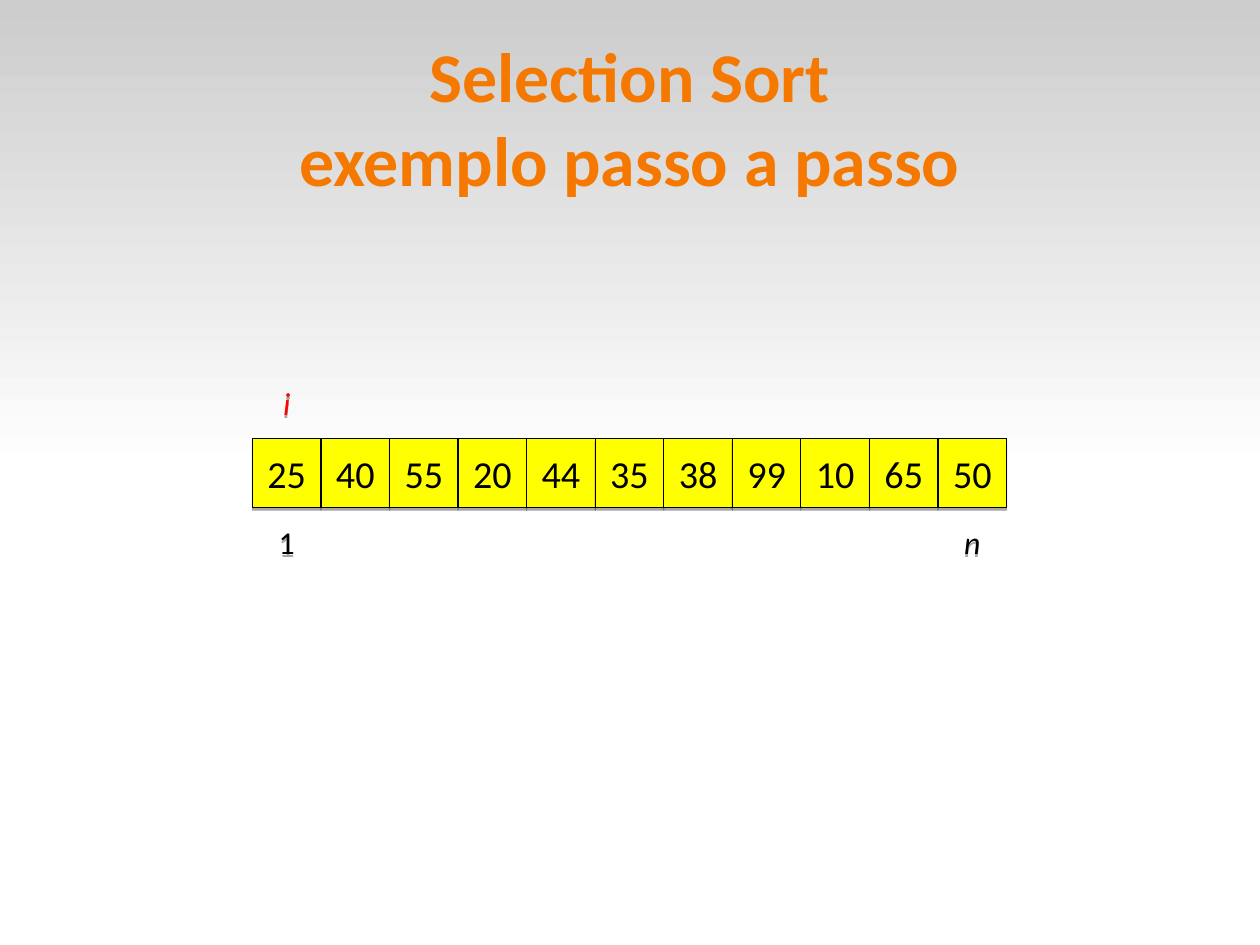
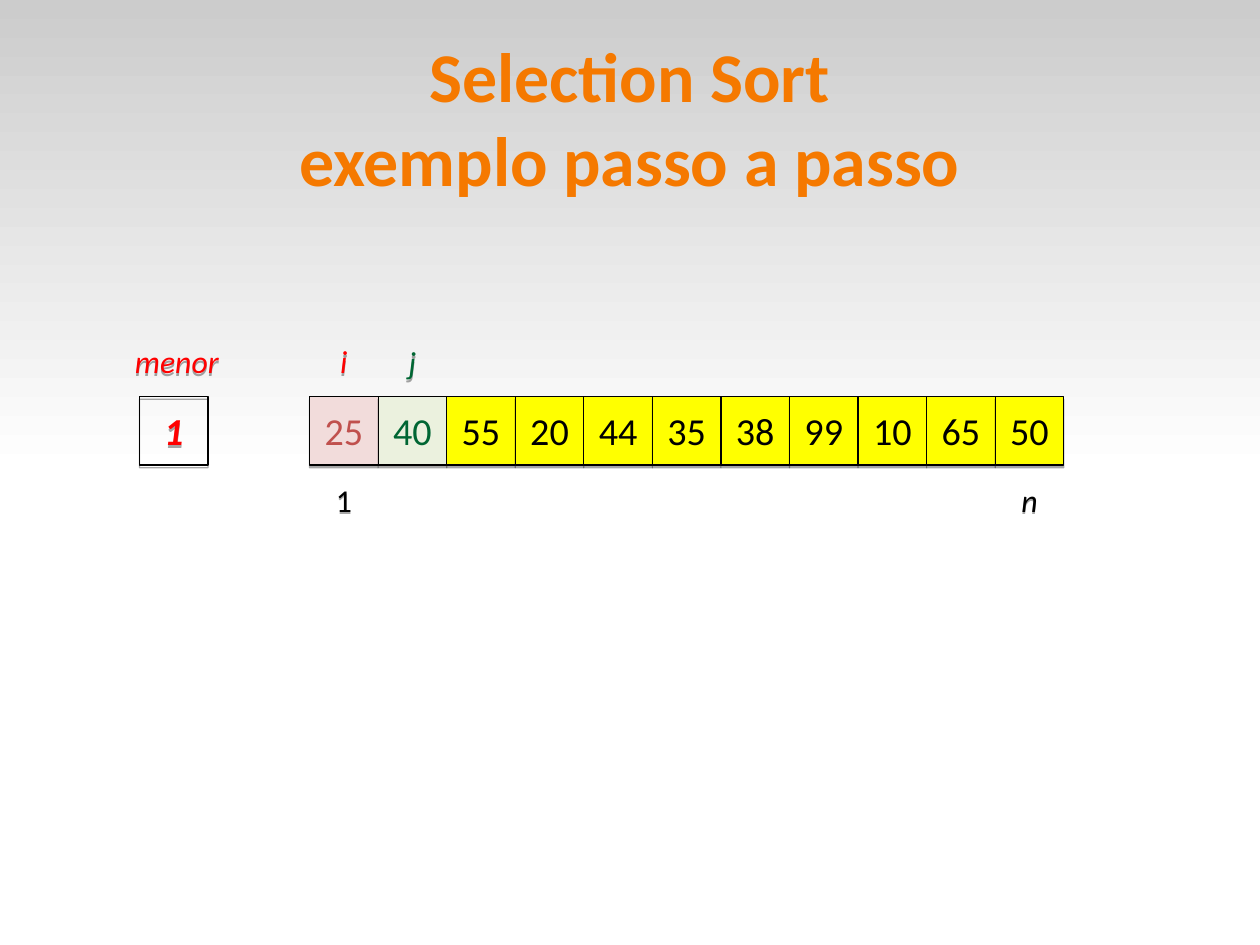
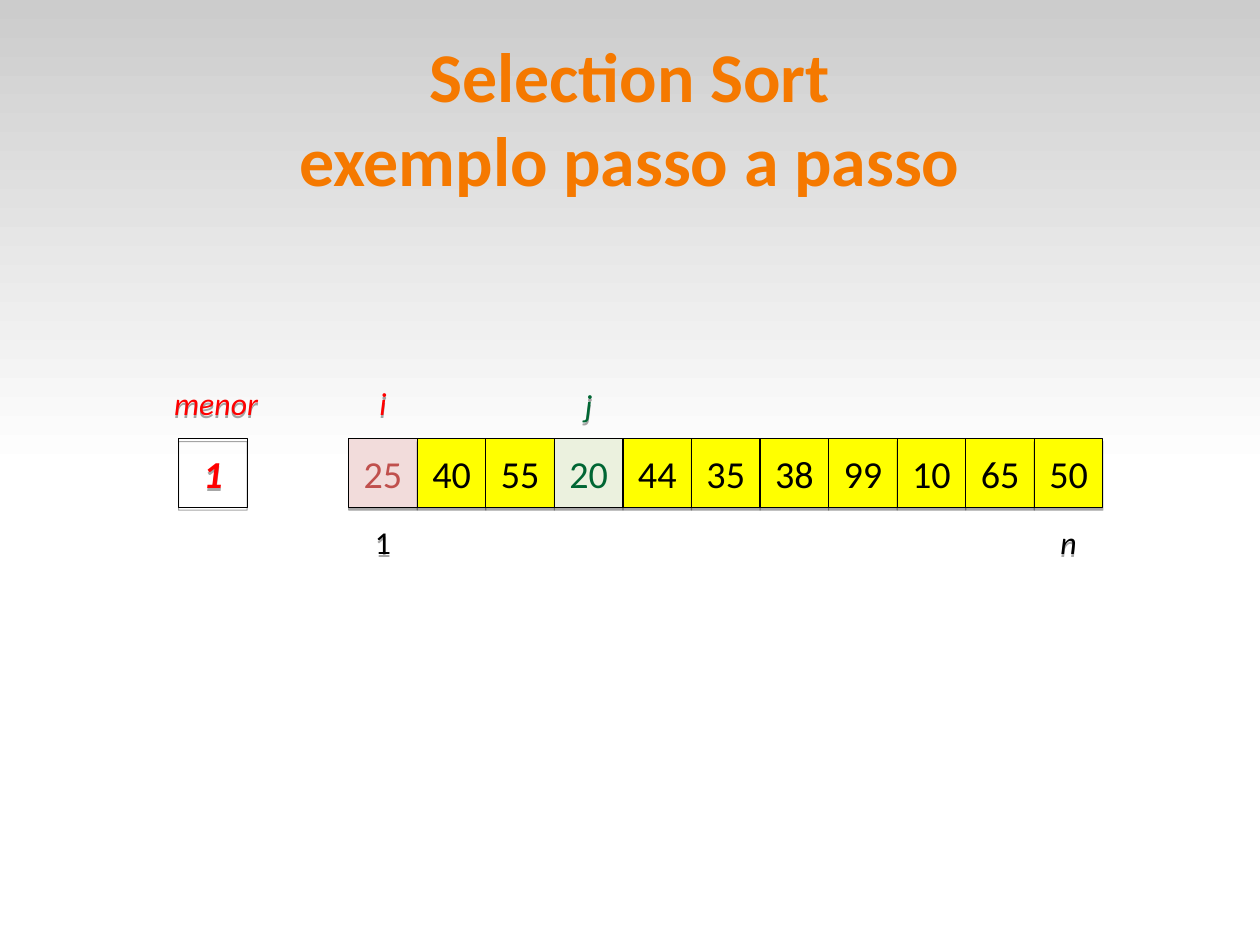
from dataclasses import dataclass

from lxml import etree
from pptx import Presentation
from pptx.dml.color import RGBColor
from pptx.enum.shapes import MSO_SHAPE
from pptx.enum.text import MSO_ANCHOR, PP_ALIGN
from pptx.oxml.ns import qn
from pptx.util import Cm, Pt

RECTANGLE = MSO_SHAPE.RECTANGLE
MIDDLE = MSO_ANCHOR.MIDDLE
CENTER = PP_ALIGN.CENTER


@dataclass(frozen=True)
class Theme:
    font: str = "Calibri"
    title_size: int = 44
    value_size: int = 24
    label_size: int = 20
    title: str = "F57900"
    ink: str = "000000"
    red: str = "FF0000"
    green: str = "006633"
    band_top: str = "CCCCCC"
    band_bottom: str = "FFFFFF"
    cell_fill: str = "FFFF00"
    current_fill: str = "F2DCDB"
    current_ink: str = "C0504D"
    scanned_fill: str = "EBF1DE"


THEME = Theme()
SLIDE_WIDTH, SLIDE_HEIGHT = 28, 21
TITLE = "Selection Sort\vexemplo passo a passo"
VALUES = [25, 40, 55, 20, 44, 35, 38, 99, 10, 65, 50]
ROW_WIDTH = 16.76
CELL = ROW_WIDTH / len(VALUES)
LABEL_RISE = 1.55
MINIMUM_OFFSET = 3.78
MINIMUM_LABEL_WIDTH = 2.59

# Left and top of the row, index of j, and the value of "menor"
STEPS = [
    (5.61, 9.75, None, None),
    (6.88, 8.81, 1, 1),
    (7.75, 9.75, 3, 1),
]


def rgb(color):
    return RGBColor.from_string(color)


def write(shape, text, *, size, color, bold=False, italic=False, margins=(0.25, 0.13)):
    """Fill the shape with centred text; margins are horizontal and vertical."""
    frame = shape.text_frame
    frame.word_wrap = True
    frame.vertical_anchor = MIDDLE
    frame.margin_left = frame.margin_right = Cm(margins[0])
    frame.margin_top = frame.margin_bottom = Cm(margins[1])
    paragraph = frame.paragraphs[0]
    paragraph.text = text
    paragraph.alignment = CENTER
    for run in paragraph.runs:
        run.font.name = THEME.font
        run.font.size = Pt(size)
        run.font.color.rgb = rgb(color)
        run.font.bold = bold
        run.font.italic = italic


def add_drop_shadow(shape):
    shape.shadow.inherit = False
    effects = shape.element.spPr.find(qn("a:effectLst"))
    shadow = etree.SubElement(effects, qn("a:outerShdw"), blurRad="0",
                              dist=str(Pt(1.8)), dir="5400000", rotWithShape="0")
    color = etree.SubElement(shadow, qn("a:srgbClr"), val=THEME.ink)
    etree.SubElement(color, qn("a:alpha"), val="35000")


def add_cell(shapes, left, top, value, *, fill=None, **text_format):
    cell = shapes.add_shape(RECTANGLE, Cm(left), Cm(top), Cm(CELL), Cm(CELL))
    if fill:
        cell.fill.solid()
        cell.fill.fore_color.rgb = rgb(fill)
    else:
        cell.fill.background()
    cell.line.color.rgb = rgb(THEME.ink)
    cell.line.width = Pt(0.75)
    add_drop_shadow(cell)
    write(cell, str(value), size=THEME.value_size, **text_format)


def add_label(shapes, left, top, text, *, width=CELL, color=THEME.ink, italic=True):
    label = shapes.add_textbox(Cm(left), Cm(top), Cm(width), Cm(CELL))
    add_drop_shadow(label)
    write(label, text, size=THEME.label_size, color=color, italic=italic)


def add_array(slide, left, top, scanned):
    """Draw the row of values; a step with a scanned index also marks the first cell."""
    shapes = slide.shapes.add_group_shape().shapes
    add_label(shapes, left, top + CELL, "1", italic=False)
    add_label(shapes, left + ROW_WIDTH - CELL, top + CELL, "n")
    highlights = {}
    if scanned is not None:
        highlights = {0: (THEME.current_fill, THEME.current_ink),
                      scanned: (THEME.scanned_fill, THEME.green)}
    for index, value in enumerate(VALUES):
        fill, color = highlights.get(index, (THEME.cell_fill, THEME.ink))
        add_cell(shapes, left + index * CELL, top, value, fill=fill, color=color)
    add_label(shapes, left, top - LABEL_RISE, "i", color=THEME.red)


def add_minimum(slide, row_left, top, minimum):
    shapes = slide.shapes.add_group_shape().shapes
    left = row_left - MINIMUM_OFFSET
    add_cell(shapes, left, top, minimum, color=THEME.red, bold=True, italic=True)
    label_left = left + (CELL - MINIMUM_LABEL_WIDTH) / 2 + 0.07
    add_label(shapes, label_left, top - LABEL_RISE, "menor",
              width=MINIMUM_LABEL_WIDTH, color=THEME.red)


def add_titled_slide(presentation):
    slide = presentation.slides.add_slide(presentation.slide_layouts[6])
    band = slide.shapes.add_shape(RECTANGLE, 0, 0, Cm(SLIDE_WIDTH), Cm(SLIDE_HEIGHT / 2))
    band.shadow.inherit = False
    band.line.fill.background()
    band.fill.gradient()
    band.fill.gradient_angle = 270
    for stop, color in zip(band.fill.gradient_stops, (THEME.band_top, THEME.band_bottom)):
        stop.color.rgb = rgb(color)
    title = slide.shapes.add_textbox(Cm(1.4), Cm(0.58), Cm(25.2), Cm(4.01))
    write(title, TITLE, size=THEME.title_size, color=THEME.title, bold=True, margins=(0, 0))
    return slide


def main():
    presentation = Presentation()
    presentation.slide_width = Cm(SLIDE_WIDTH)
    presentation.slide_height = Cm(SLIDE_HEIGHT)
    for left, top, scanned, minimum in STEPS:
        slide = add_titled_slide(presentation)
        add_array(slide, left, top, scanned)
        if scanned is not None:
            add_minimum(slide, left, top, minimum)
            add_label(slide.shapes, left + scanned * CELL, top - CELL, "j", color=THEME.green)
    presentation.save("out.pptx")


if __name__ == "__main__":
    main()
